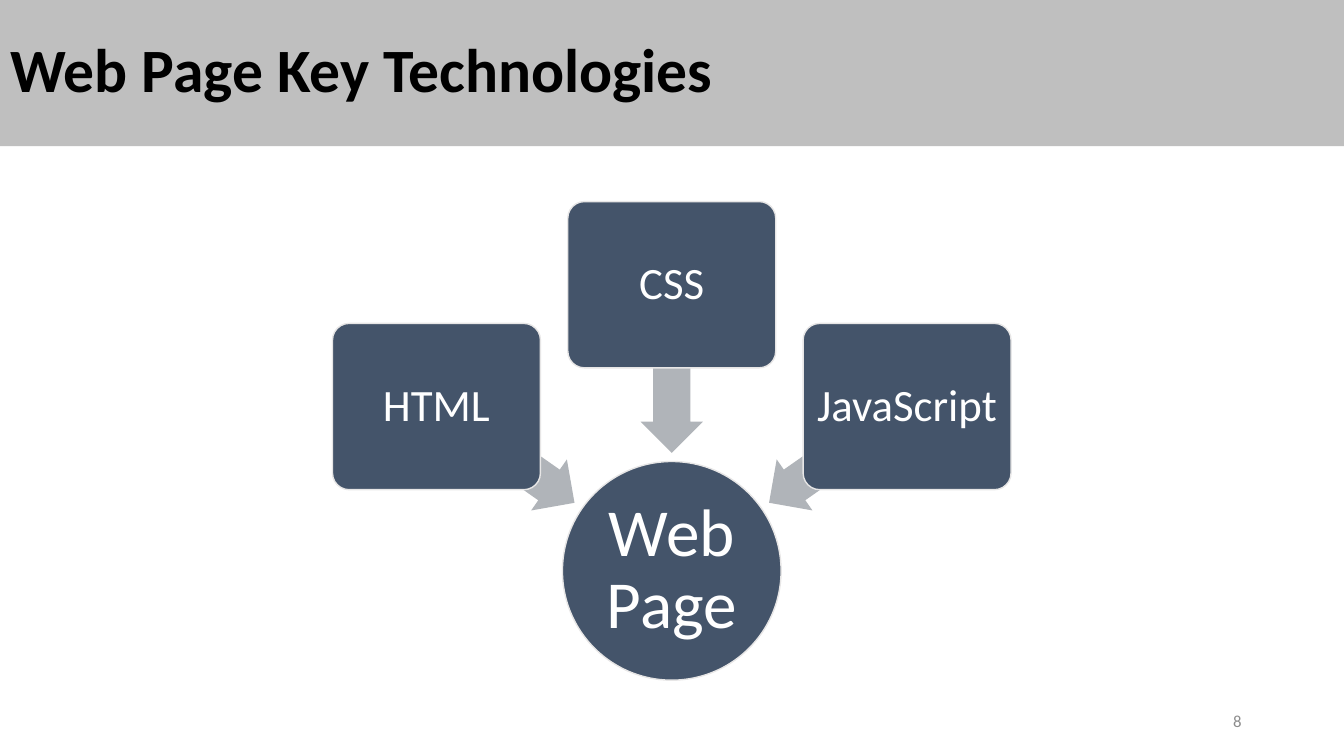
import pptx
import pptx.util
import pptx.dml.color
import pptx.enum.shapes
import pptx.enum.text

Cm = pptx.util.Cm
Kind = pptx.enum.shapes.MSO_SHAPE
Align = pptx.enum.text.PP_ALIGN

theme = {
    "font": "Calibri",
    "band": "BFBFBF", "node": "44546A", "edge": "E7E6E6", "arrow": "B0B4B9",
    "black": "000000", "white": "FFFFFF", "gray": "8C8C8C",
    "title": 44, "hub": 48, "card": 32, "number": 12,
}


def color(name):
    return pptx.dml.color.RGBColor.from_string(theme[name])


def write(shape, text, size, ink, align=Align.CENTER, bold=False, space=0.9, pad=None):
    frame = shape.text_frame
    frame.word_wrap = True
    frame.auto_size = pptx.enum.text.MSO_AUTO_SIZE.NONE
    frame.vertical_anchor = pptx.enum.text.MSO_ANCHOR.MIDDLE
    if pad is not None:
        frame.margin_left = frame.margin_right = Cm(pad)
        frame.margin_top = frame.margin_bottom = Cm(pad)
    frame.text = text
    line = frame.paragraphs[0]
    line.alignment = align
    line.line_spacing = space
    font = line.runs[0].font
    font.name = theme["font"]
    font.size = pptx.util.Pt(theme[size])
    font.bold = bold
    font.color.rgb = color(ink)


deck = pptx.Presentation()
deck.slide_width = Cm(33.87)
deck.slide_height = Cm(19.05)
slide = deck.slides.add_slide(deck.slide_layouts[5])
shapes = slide.shapes

title = shapes.title
title.left, title.top, title.width, title.height = Cm(0), Cm(0), Cm(33.87), Cm(3.68)
title.fill.solid()
title.fill.fore_color.rgb = color("band")
write(title, "Web Page Key Technologies", "title", "black", align=Align.LEFT, bold=True)

mid = 16.93
hub_d = 5.51
card_w, card_h, step = 5.24, 4.19, 5.93
arrow_w, arrow_h, reach = 4.22, 1.57, 4.18

nodes = [(Kind.OVAL, "Web Page", mid, 11.63, hub_d, hub_d, "hub", 0.09, None)]
cards = [("HTML", -1, 8.15, 11.46, 215), ("CSS", 0, 5.08, 9.3, 270), ("JavaScript", 1, 8.15, 11.46, 325)]
for name, side, top, level, turn in cards:
    spot = (mid + side * reach, level, turn)
    nodes.append((Kind.ROUNDED_RECTANGLE, name, mid + side * step, top, card_w, card_h, "card", 0.18, spot))

for kind, name, x, top, width, height, size, pad, spot in nodes:
    if spot:
        at_x, at_y, turn = spot
        arrow = shapes.add_shape(Kind.LEFT_ARROW, Cm(at_x - arrow_w / 2), Cm(at_y - arrow_h / 2),
                                 Cm(arrow_w), Cm(arrow_h))
        arrow.adjustments[0], arrow.adjustments[1] = 0.6, 0.5
        arrow.rotation = turn
        arrow.shadow.inherit = False
        arrow.fill.solid()
        arrow.fill.fore_color.rgb = color("arrow")
        arrow.line.fill.background()
    node = shapes.add_shape(kind, Cm(x - width / 2), Cm(top), Cm(width), Cm(height))
    if spot:
        node.adjustments[0] = 0.1
    node.shadow.inherit = False
    node.fill.solid()
    node.fill.fore_color.rgb = color("node")
    node.line.color.rgb = color("edge")
    node.line.width = pptx.util.Pt(1)
    write(node, name, size, "white", pad=pad)

number = shapes.add_textbox(Cm(23.92), Cm(17.66), Cm(7.62), Cm(1.01))
write(number, "8", "number", "gray", align=Align.RIGHT, space=1.0)

deck.save("out.pptx")
